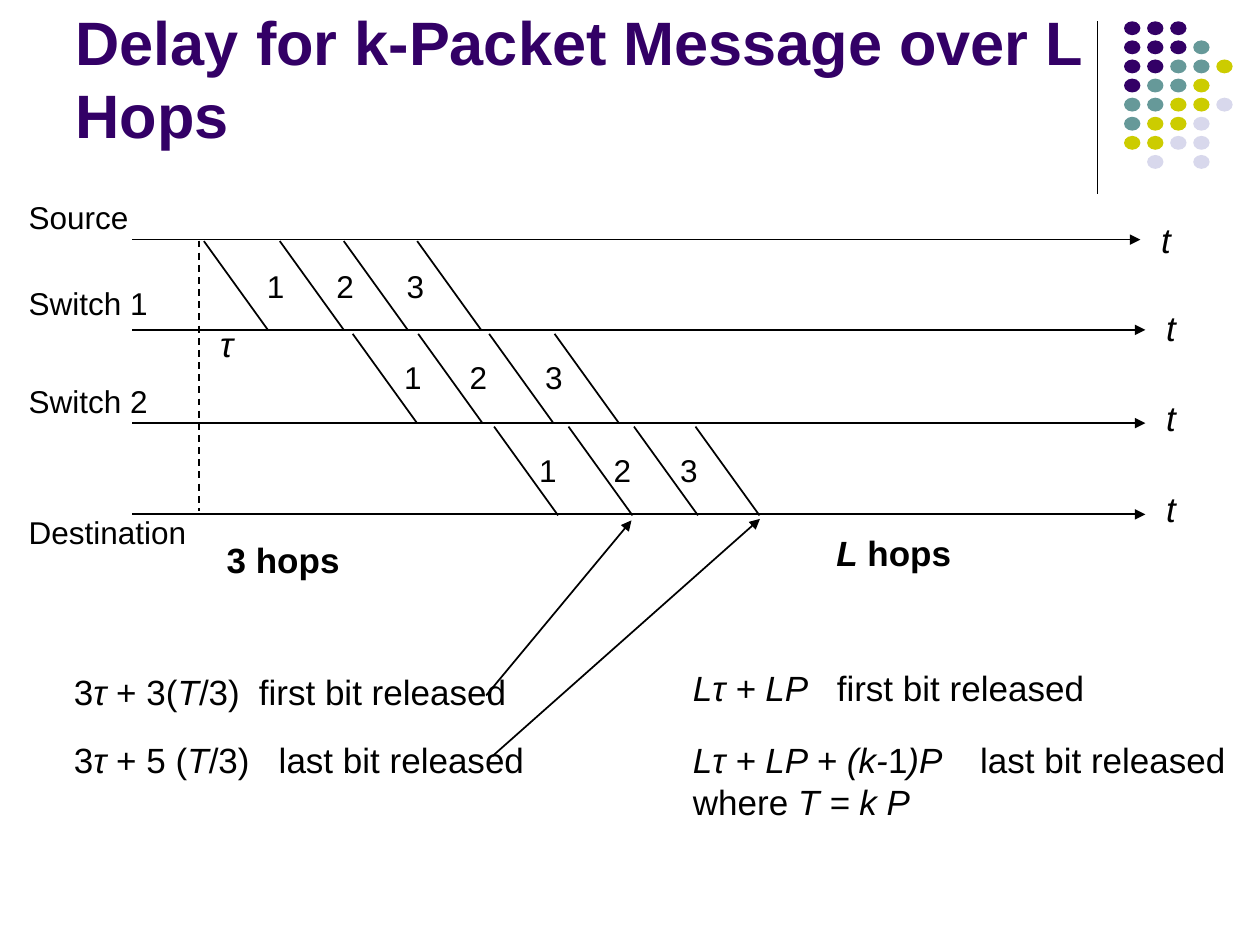
from lxml.etree import SubElement
from pptx import Presentation
from pptx.dml.color import RGBColor
from pptx.enum.dml import MSO_LINE
from pptx.enum.shapes import MSO_CONNECTOR, MSO_SHAPE
from pptx.enum.text import MSO_ANCHOR, MSO_AUTO_SIZE, PP_ALIGN
from pptx.oxml.ns import qn
from pptx.util import Cm, Pt

BLACK = RGBColor(0x00, 0x00, 0x00)
PURPLE = RGBColor(0x33, 0x00, 0x66)
TEAL = RGBColor(0x66, 0x99, 0x99)
LIME = RGBColor(0xCC, 0xCC, 0x00)
LAVENDER = RGBColor(0xD8, 0xD8, 0xEC)

DOT_COLORS = {"P": PURPLE, "T": TEAL, "Y": LIME, "L": LAVENDER}
DOT_ROWS = ["PPP", "PPPT", "PPTTY", "PTTY", "TTYYL", "TYYL", "YYLL", " L L"]

AXIS_LEFT = 2.67
AXES = [(4.83, 22.99, 4.29), (6.65, 23.09, 6.05), (8.53, 23.09, 7.87), (10.37, 23.09, 9.7)]

NODES = [("Source", 3.86), ("Switch 1", 5.61), ("Switch 2", 7.57), ("Destination", 10.21)]

PACKET_RUN, PACKET_DROP = 1.29, 1.79
HOPS = [
    (4.86, [4.11, 5.64, 6.93, 8.41], 5.26, [5.13, 6.53, 7.95]),
    (6.73, [7.11, 8.43, 9.86, 11.18], 7.1, [7.9, 9.22, 10.74]),
    (8.6, [9.96, 11.46, 12.78, 14.02], 8.96, [10.62, 12.12, 13.46]),
]

FORMULAS = [
    (1.24, 13.39, 9.27, 3.73, ["3*τ* + 3(*T*/3)\tfirst bit released"]),
    (1.24, 14.76, 9.63, 4.13, ["3*τ* + 5 (*T*/3)\tlast bit released"]),
    (13.72, 13.31, 8.46, 2.9, ["*Lτ + LP*\tfirst bit released"]),
    (13.72, 14.76, 11.35, 5.79,
     ["*Lτ + LP + (k-*1*)P*\tlast bit released", "where *T = k P*"]),
]


class SlideBuilder:
    font_name = "Arial"

    def __init__(self, slide):
        self.slide = slide

    def style(self, paragraph, size, color=BLACK, bold=False):
        font = paragraph.font
        font.name = self.font_name
        font.size = Pt(size)
        font.bold = bold
        font.color.rgb = color

    def title(self, text, left, top, width, height):
        title = self.slide.shapes.title
        title.left, title.top = Cm(left), Cm(top)
        title.width, title.height = Cm(width), Cm(height)
        frame = title.text_frame
        frame.text = text
        frame.word_wrap = True
        frame.auto_size = MSO_AUTO_SIZE.NONE
        frame.vertical_anchor = MSO_ANCHOR.BOTTOM
        heading = frame.paragraphs[0]
        heading.alignment = PP_ALIGN.LEFT
        self.style(heading, 35, PURPLE, True)

    def text(self, lines, left, top, width, height, size=20, bold=False, tab=None):
        box = self.slide.shapes.add_textbox(Cm(left), Cm(top), Cm(width), Cm(height))
        frame = box.text_frame
        frame.word_wrap = False
        for index, line in enumerate(lines):
            paragraph = frame.add_paragraph() if index else frame.paragraphs[0]
            if tab and "\t" in line:
                stops = SubElement(paragraph._p.get_or_add_pPr(), qn("a:tabLst"))
                SubElement(stops, qn("a:tab"), pos=str(Cm(tab)), algn="l")
            self.style(paragraph, size, bold=bold)
            segments = [(part, bool(order % 2))
                        for order, part in enumerate(line.split("*")) if part]
            for part, italic in segments:
                run = paragraph.add_run()
                run.text = part
                if len(segments) == 1:
                    paragraph.font.italic = italic
                else:
                    run.font.italic = italic

    def line(self, x1, y1, x2, y2, weight=1, arrow=False, dashed=False):
        connector = self.slide.shapes.add_connector(
            MSO_CONNECTOR.STRAIGHT, Cm(x1), Cm(y1), Cm(x2), Cm(y2))
        connector.line.color.rgb = BLACK
        connector.line.width = Pt(weight)
        if dashed:
            connector.line.dash_style = MSO_LINE.DASH
        properties = connector._element.spPr
        if arrow:
            SubElement(properties.find(qn("a:ln")), qn("a:tailEnd"), type="triangle")
        SubElement(properties, qn("a:effectLst"))

    def dot(self, left, top, color):
        dot = self.slide.shapes.add_shape(
            MSO_SHAPE.OVAL, Cm(left), Cm(top), Cm(0.33), Cm(0.28))
        dot.shadow.inherit = False
        dot.fill.solid()
        dot.fill.fore_color.rgb = color
        dot.line.fill.background()


def main():
    presentation = Presentation()
    presentation.slide_width = Cm(25.4)
    presentation.slide_height = Cm(19.05)
    builder = SlideBuilder(presentation.slides.add_slide(presentation.slide_layouts[5]))

    builder.title("Delay for k-Packet Message over L Hops", 1.27, 0.33, 20.96, 2.84)
    builder.line(22.12, 0.43, 22.12, 3.91, weight=0.75)
    for row, pattern in enumerate(DOT_ROWS):
        for column, key in enumerate(pattern):
            if key in DOT_COLORS:
                builder.dot(22.66 + 0.465 * column, 0.43 + 0.385 * row, DOT_COLORS[key])

    for axis_y, axis_right, time_top in AXES:
        builder.line(AXIS_LEFT, axis_y, axis_right, axis_y, arrow=True)
        builder.text(["*t*"], axis_right + 0.17, time_top, 0.71, 1.09)
    for node, node_top in NODES:
        builder.text([node], 0.33, node_top, 3.68, 1.02, size=18)

    builder.line(4.01, 4.85, 4.01, 10.31, dashed=True)
    builder.text(["*τ*"], 4.19, 6.38, 0.81, 1.12)

    for edge_top, edges, number_top, numbers in HOPS:
        for edge in edges:
            builder.line(edge, edge_top, edge + PACKET_RUN, edge_top + PACKET_DROP)
        for packet, number_left in enumerate(numbers, start=1):
            builder.text([str(packet)], number_left, number_top, 0.86, 1.02, size=18)

    builder.line(9.8, 14.02, 12.73, 10.49, arrow=True)
    builder.line(9.93, 15.24, 15.32, 10.46, arrow=True)
    builder.text(["3 hops"], 4.32, 10.74, 2.79, 1.09, bold=True)
    builder.text(["*L* hops"], 16.61, 10.59, 2.82, 1.09, bold=True)
    for left, top, width, tab, lines in FORMULAS:
        builder.text(lines, left, top, width, 1.09 * len(lines), tab=tab)

    presentation.save("out.pptx")


if __name__ == "__main__":
    main()
